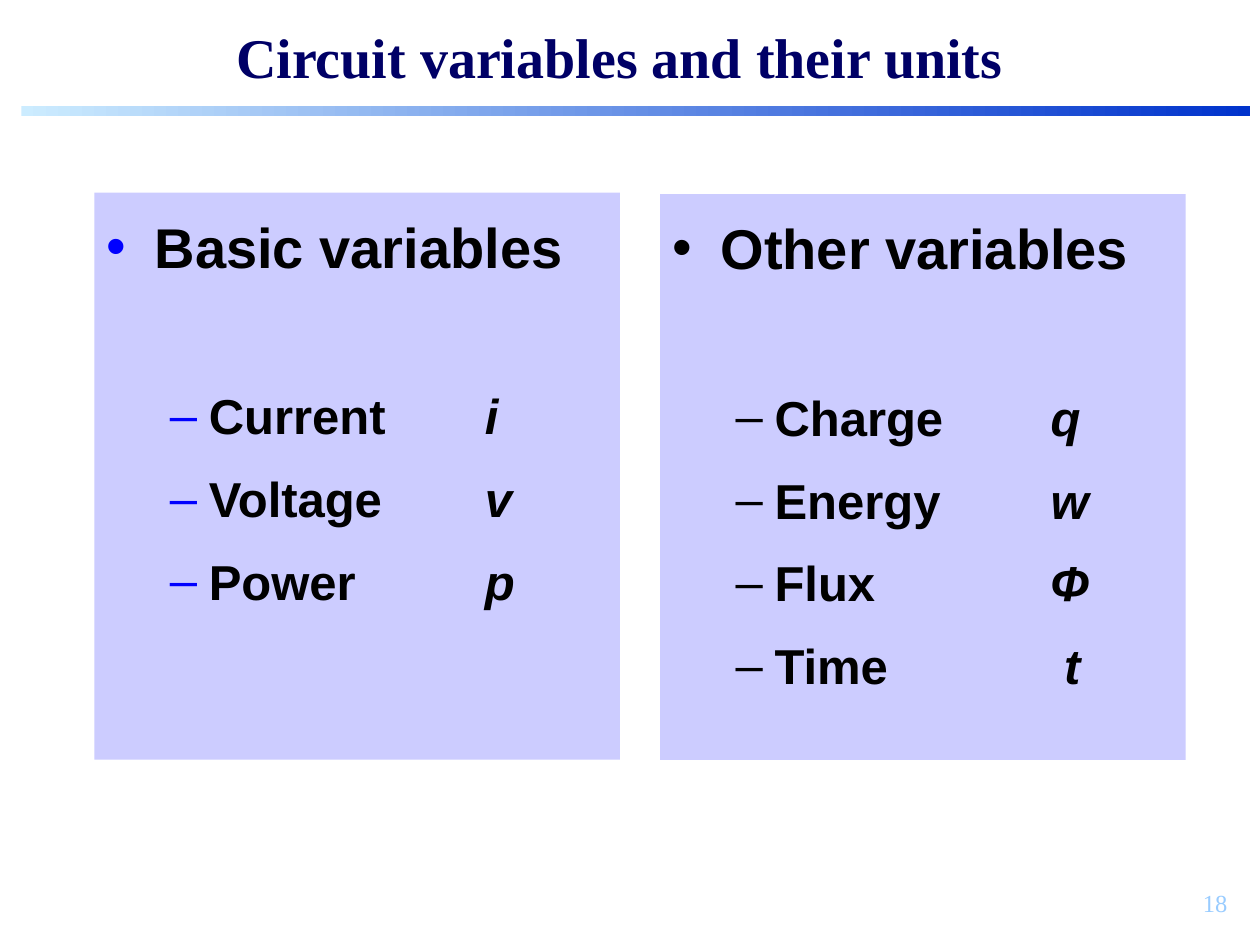
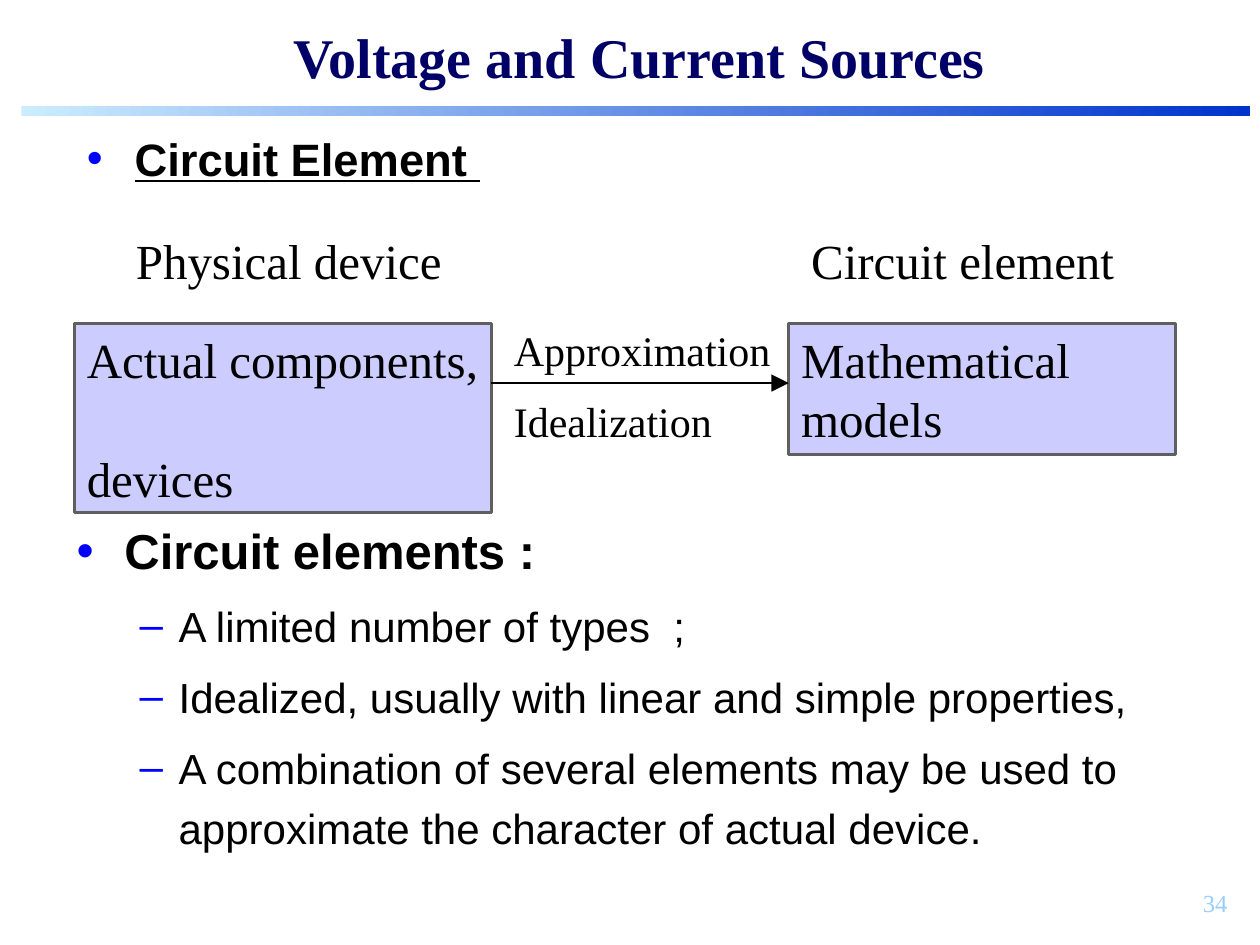
"""Build two lecture slides on circuit variables and circuit elements."""
from dataclasses import dataclass

from lxml.etree import SubElement
from pptx import Presentation
from pptx.dml.color import RGBColor as RGB
from pptx.enum.shapes import MSO_CONNECTOR as CONN, MSO_SHAPE as SHAPE
from pptx.enum.text import MSO_ANCHOR as ANCHOR, PP_ALIGN as ALIGN
from pptx.oxml.ns import qn
from pptx.util import Pt

PX = 9144


@dataclass(frozen=True)
class Theme:
    serif: str = "Times New Roman"
    sans: str = "Arial"
    ink: str = "000000"
    title: str = "000066"
    bullet: str = "0000FF"
    panel: str = "CCCCFF"
    border: str = "5F5F5F"
    number: str = "99CCFF"
    band: tuple = ("CCECFF", "0033CC")
    title_size: float = 32
    head_size: float = 32
    item_size: float = 28
    topic_size: float = 25.9
    note_size: float = 24
    number_size: float = 14


T = Theme()


def px(*lengths):
    return [n * PX for n in lengths]


def style(r, size, font=T.serif, color=T.ink, bold=False, italic=False, underline=False):
    f = r.font
    f.size, f.name = Pt(size), font
    f.bold, f.italic, f.underline = bold, italic, underline
    f.color.rgb = RGB.from_string(color)


def fill_text(sp, lines, size, color=T.ink, bold=False, align=ALIGN.LEFT,
              anchor=ANCHOR.TOP, spacing=None, right=10):
    tf = sp.text_frame
    tf.word_wrap, tf.vertical_anchor = True, anchor
    tf.margin_right = right * PX
    tf.text = "\n".join(lines)
    for p in tf.paragraphs:
        p.alignment = align
        if spacing:
            p.line_spacing = spacing
        style(p.runs[0], size, color=color, bold=bold)
    return tf


def add_text(s, box, lines, size, **options):
    return fill_text(s.shapes.add_textbox(*px(*box)), lines, size, **options)


def add_panel(s, box, border=None):
    sp = s.shapes.add_shape(SHAPE.RECTANGLE, *px(*box))
    sp.shadow.inherit = False
    sp.fill.solid()
    sp.fill.fore_color.rgb = RGB.from_string(T.panel)
    if border:
        sp.line.color.rgb = RGB.from_string(border)
        sp.line.width = Pt(1.5)
    else:
        sp.line.fill.background()
    return sp


def add_bullet(tf, text, level=0, before=0, spacing=1.2, color=T.bullet, tab=None):
    p = tf.paragraphs[0] if not tf.text else tf.add_paragraph()
    p.text = text
    p.level, p.alignment = level, ALIGN.LEFT
    p.line_spacing, p.space_before = spacing, Pt(before)
    margin, hang, char = ((38, 38, "•"), (81, 31, "–"))[level]
    ppr = p._p.get_or_add_pPr()
    ppr.set("marL", str(margin * PX))
    ppr.set("indent", str(-hang * PX))
    SubElement(SubElement(ppr, qn("a:buClr")), qn("a:srgbClr"), val=color)
    SubElement(ppr, qn("a:buFont"), typeface=T.sans)
    SubElement(ppr, qn("a:buChar"), char=char)
    if tab:
        tabs = SubElement(ppr, qn("a:tabLst"))
        SubElement(tabs, qn("a:tab"), pos=str(tab * PX), algn="l")
    return p


def add_arrow(s, x1, y, x2):
    c = s.shapes.add_connector(CONN.STRAIGHT, *px(x1, y, x2, y))
    c.line.color.rgb = RGB.from_string(T.ink)
    c.line.width = Pt(1.5)
    SubElement(c.line._get_or_add_ln(), qn("a:tailEnd"), type="triangle", w="lg", len="lg")
    SubElement(c._element.spPr, qn("a:effectLst"))


def add_base(prs, title, title_box, number):
    s = prs.slides.add_slide(prs.slide_layouts[6])
    band = s.shapes.add_shape(SHAPE.RECTANGLE, *px(17, 84, 975, 8))
    band.shadow.inherit = False
    band.line.fill.background()
    band.fill.gradient()
    band.fill.gradient_angle = 0
    for stop, color in zip(band.fill.gradient_stops, T.band):
        stop.color.rgb = RGB.from_string(color)
    add_text(s, (776, 700, 208, 50), [number], T.number_size, color=T.number,
             align=ALIGN.RIGHT)
    add_text(s, title_box, [title], T.title_size, color=T.title, bold=True,
             align=ALIGN.CENTER, anchor=ANCHOR.MIDDLE)
    return s


def add_variables(s, box, head, variables, color):
    tf = add_panel(s, box).text_frame
    tf.word_wrap, tf.vertical_anchor = True, ANCHOR.TOP
    p = add_bullet(tf, head, color=color)
    style(p.runs[0], T.head_size, T.sans, bold=True)
    for i, (name, symbol) in enumerate(variables):
        p = add_bullet(tf, name, 1, 7 if i else 54, color=color, tab=300)
        style(p.runs[0], T.item_size, T.sans, bold=True)
        r = p.add_run()
        r.text = symbol
        style(r, T.item_size, T.sans, bold=True, italic=True)


def build_variables(prs):
    s = add_base(prs, "Circuit variables and their units", (67, 13, 850, 63), "18")
    add_variables(s, (75, 153, 417, 450), "Basic variables",
                  [("Current\t", "i"), ("Voltage\t", "v"), ("Power\t", "p")], T.bullet)
    add_variables(s, (524, 154, 417, 449), "Other variables",
                  [("Charge\t", "q"), ("Energy\t", "w"), ("Flux\t", "Ф"), ("Time\t ", "t")],
                  T.ink)


def build_sources(prs):
    s = add_base(prs, "Voltage and Current Sources", (43, 13, 929, 63), "34")
    topic = s.shapes.add_textbox(*px(59, 99, 858, 55)).text_frame
    topic.word_wrap = True
    p = add_bullet(topic, "Circuit Element ", spacing=1.0)
    style(p.runs[0], T.topic_size, T.sans, bold=True, underline=True)

    device = add_panel(s, (59, 257, 331, 150), T.border)
    tf = fill_text(device, ["Actual components,", "devices"], T.item_size, right=5)
    tf.paragraphs[1].space_before = Pt(34)
    model = add_panel(s, (626, 257, 307, 104), T.border)
    fill_text(model, ["Mathematical", "models"], T.item_size)
    add_arrow(s, 390, 304, 626)
    add_text(s, (398, 237, 223, 122), ["Approximation", "Idealization"], T.note_size,
             spacing=1.4, right=0)
    for x, width, label in ((98, 262, "Physical device"), (634, 260, "Circuit element")):
        add_text(s, (x, 178, width, 57), [label], T.item_size, right=0)

    tf = s.shapes.add_textbox(*px(51, 399, 890, 299)).text_frame
    tf.word_wrap = True
    p = add_bullet(tf, "Circuit elements :")
    style(p.runs[0], T.item_size, T.sans, bold=True)
    for text in ("A limited number of types  ;",
                 "Idealized, usually with linear and simple properties,",
                 "A combination of several elements may be used to approximate "
                 "the character of actual device."):
        p = add_bullet(tf, text, 1, 6)
        style(p.runs[0], T.note_size, T.sans)


def main():
    prs = Presentation()
    prs.slide_width, prs.slide_height = px(1000, 750)
    build_variables(prs)
    build_sources(prs)
    prs.save("out.pptx")


if __name__ == "__main__":
    main()
